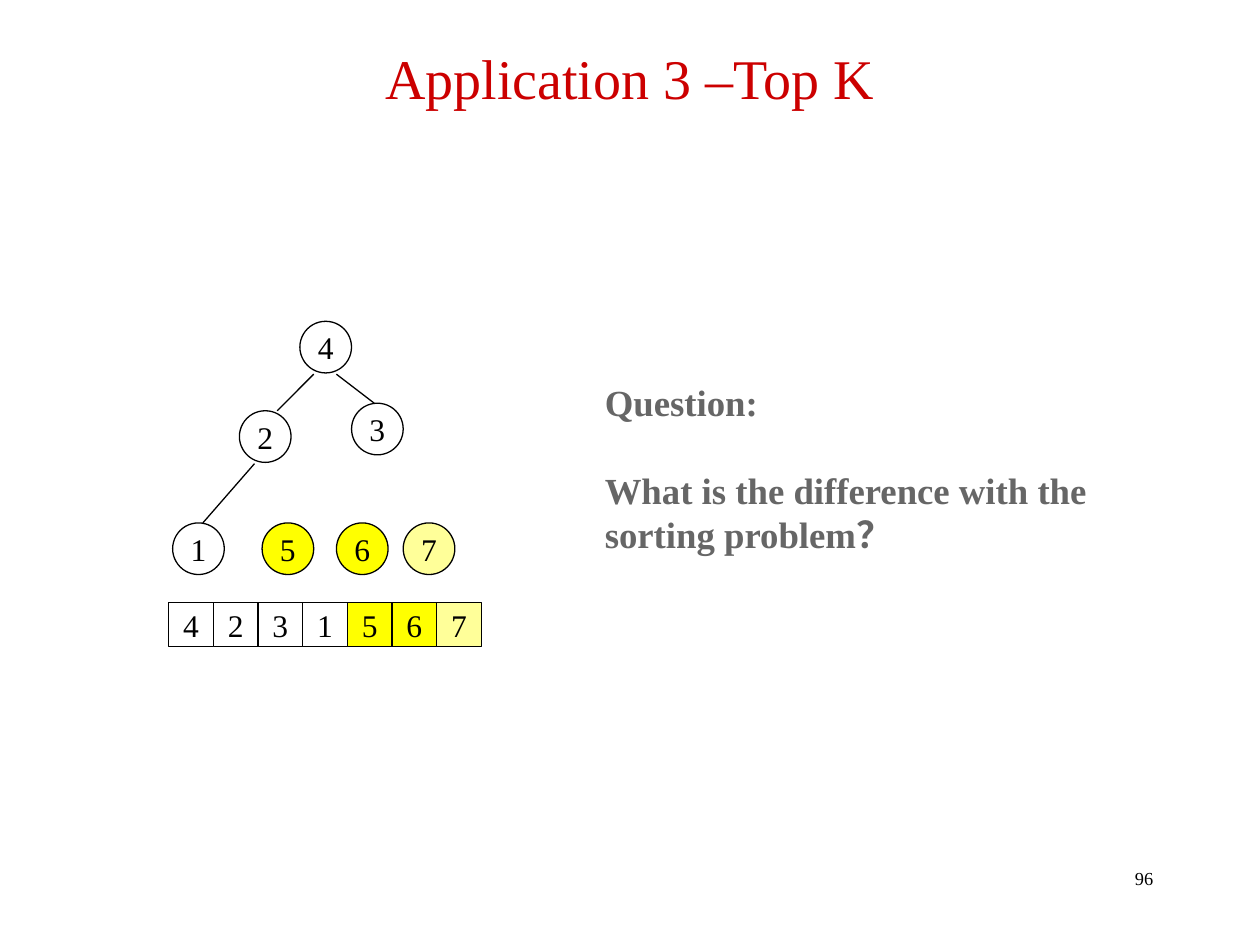
from lxml import etree
from pptx import Presentation
from pptx.dml.color import RGBColor
from pptx.enum.shapes import MSO_CONNECTOR, MSO_SHAPE
from pptx.enum.text import MSO_ANCHOR, PP_ALIGN
from pptx.oxml.ns import qn
from pptx.util import Inches, Pt

FONT = "Times New Roman"
COLORS = {
    "title": "CC0000",
    "question": "666666",
    "ink": "000000",
    "heap": "FFFFFF",
    "sorted": "FFFF00",
    "last": "FFFF99",
}
VALUE_ROLES = {"5": "sorted", "6": "sorted", "7": "last"}


def color(name):
    return RGBColor.from_string(COLORS[name])


def style(para, size, ink, align=PP_ALIGN.LEFT, bold=False):
    para.alignment = align
    para.font.name = FONT
    para.font.size = Pt(size)
    para.font.bold = bold
    para.font.color.rgb = color(ink)


def add_value(group, kind, value, left, top, size):
    """Square or round cell, coloured by the role of its value."""
    cell = group.shapes.add_shape(
        kind, Inches(left), Inches(top), Inches(size), Inches(size))
    cell.shadow.inherit = False
    cell.fill.solid()
    cell.fill.fore_color.rgb = color(VALUE_ROLES.get(value, "heap"))
    cell.line.color.rgb = color("ink")
    cell.line.width = Pt(0.75)
    frame = cell.text_frame
    frame.margin_left = frame.margin_right = 0
    frame.margin_top = frame.margin_bottom = 0
    frame.word_wrap = False
    frame.vertical_anchor = MSO_ANCHOR.MIDDLE
    frame.text = value
    style(frame.paragraphs[0], 18, "ink", PP_ALIGN.CENTER)


def add_edge(group, start, end):
    edge = group.shapes.add_connector(
        MSO_CONNECTOR.STRAIGHT, *(Inches(length) for length in start + end))
    edge.line.color.rgb = color("ink")
    edge.line.width = Pt(0.75)
    properties = edge._element.find(qn("p:spPr"))
    etree.SubElement(properties, qn("a:effectLst"))


def add_title(page, left, top, width, height):
    title = page.shapes.title
    title.left, title.top = Inches(left), Inches(top)
    title.width, title.height = Inches(width), Inches(height)
    title.text_frame.vertical_anchor = MSO_ANCHOR.MIDDLE
    title.text_frame.text = "Application 3 –Top K"
    style(title.text_frame.paragraphs[0], 32, "title", PP_ALIGN.CENTER)


def add_heap(page, left, top):
    """Heap tree with the removed values beside its last level."""
    group = page.shapes.add_group_shape()
    nodes = {"4": (1.01, 0), "2": (0.53, 0.71), "3": (1.42, 0.65),
             "1": (0, 1.6), "5": (0.71, 1.6), "6": (1.3, 1.6), "7": (1.83, 1.6)}
    for value, (across, down) in nodes.items():
        add_value(group, MSO_SHAPE.OVAL, value, left + across, top + down, 0.41)
    edges = [((1.12, 0.42), (0.83, 0.71)),
             ((0.65, 1.13), (0.24, 1.6)),
             ((1.3, 0.42), (1.6, 0.65))]
    for start, end in edges:
        add_edge(group, (left + start[0], top + start[1]),
                 (left + end[0], top + end[1]))


def add_array(page, left, top, width, values):
    """Row of equal cells."""
    group = page.shapes.add_group_shape()
    step = width / len(values)
    for index, value in enumerate(values):
        add_value(group, MSO_SHAPE.RECTANGLE, value, left + index * step, top, step)


def add_question(page, left, top, width, height):
    box = page.shapes.add_textbox(
        Inches(left), Inches(top), Inches(width), Inches(height))
    frame = box.text_frame
    frame.word_wrap = True
    frame.vertical_anchor = MSO_ANCHOR.MIDDLE
    frame.margin_left = frame.margin_right = Inches(0.07)
    frame.margin_top = frame.margin_bottom = Inches(0.04)
    frame.text = "Question:\nWhat is the difference with the sorting problem？"
    for para in frame.paragraphs:
        style(para, 21, "question", bold=True)
    frame.paragraphs[1].space_before = Pt(25)


def add_page_number(page, left, top, width, height):
    box = page.shapes.add_textbox(
        Inches(left), Inches(top), Inches(width), Inches(height))
    box.text_frame.word_wrap = True
    box.text_frame.text = "96"
    style(box.text_frame.paragraphs[0], 10.5, "ink", PP_ALIGN.RIGHT)


def main():
    deck = Presentation()
    deck.slide_width, deck.slide_height = Inches(10), Inches(7.5)
    page = deck.slides.add_slide(deck.slide_layouts[5])

    add_page_number(page, 7.17, 6.83, 2.08, 0.5)
    # Heap above its array
    add_heap(page, 1.37, 2.55)
    add_array(page, 1.34, 4.78, 2.48, "4231567")
    # Question beside the heap
    add_question(page, 4.73, 2.87, 4.37, 1.69)
    add_title(page, 0.5, 0.24, 9, 0.75)

    deck.save("out.pptx")


if __name__ == "__main__":
    main()
